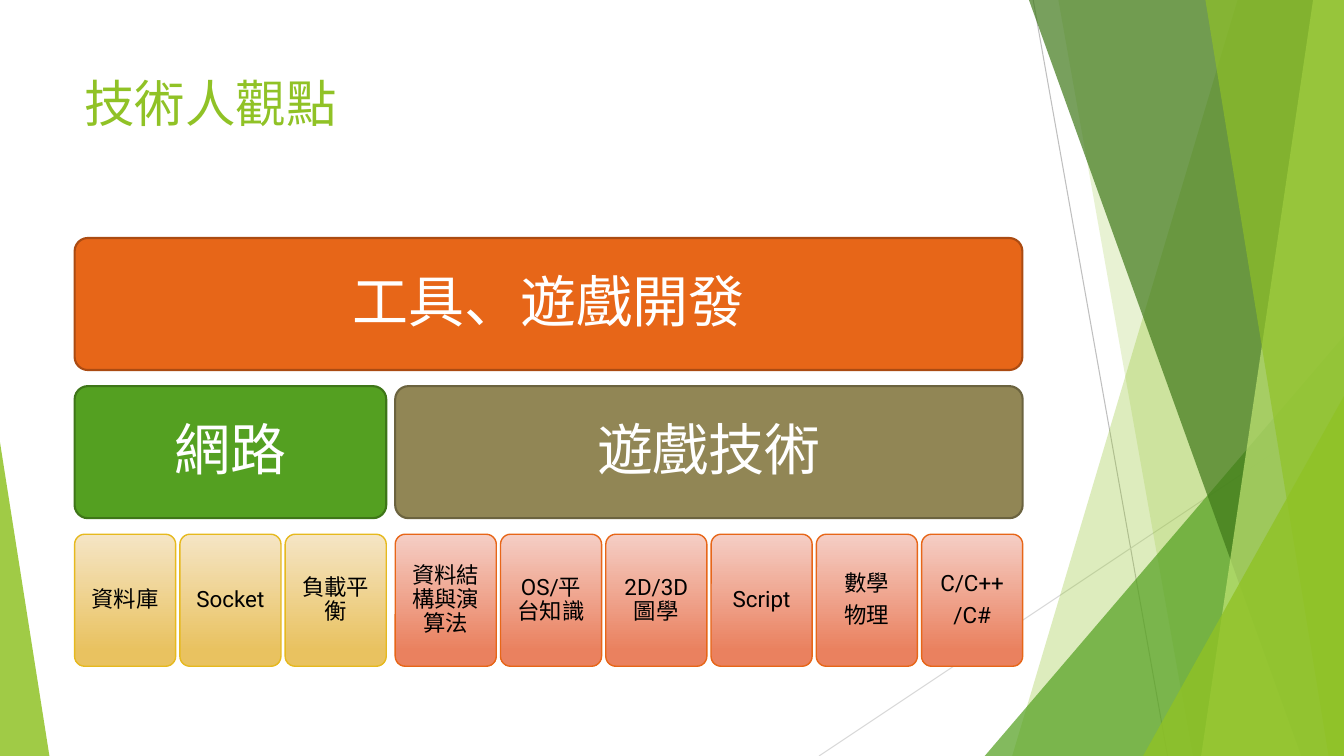
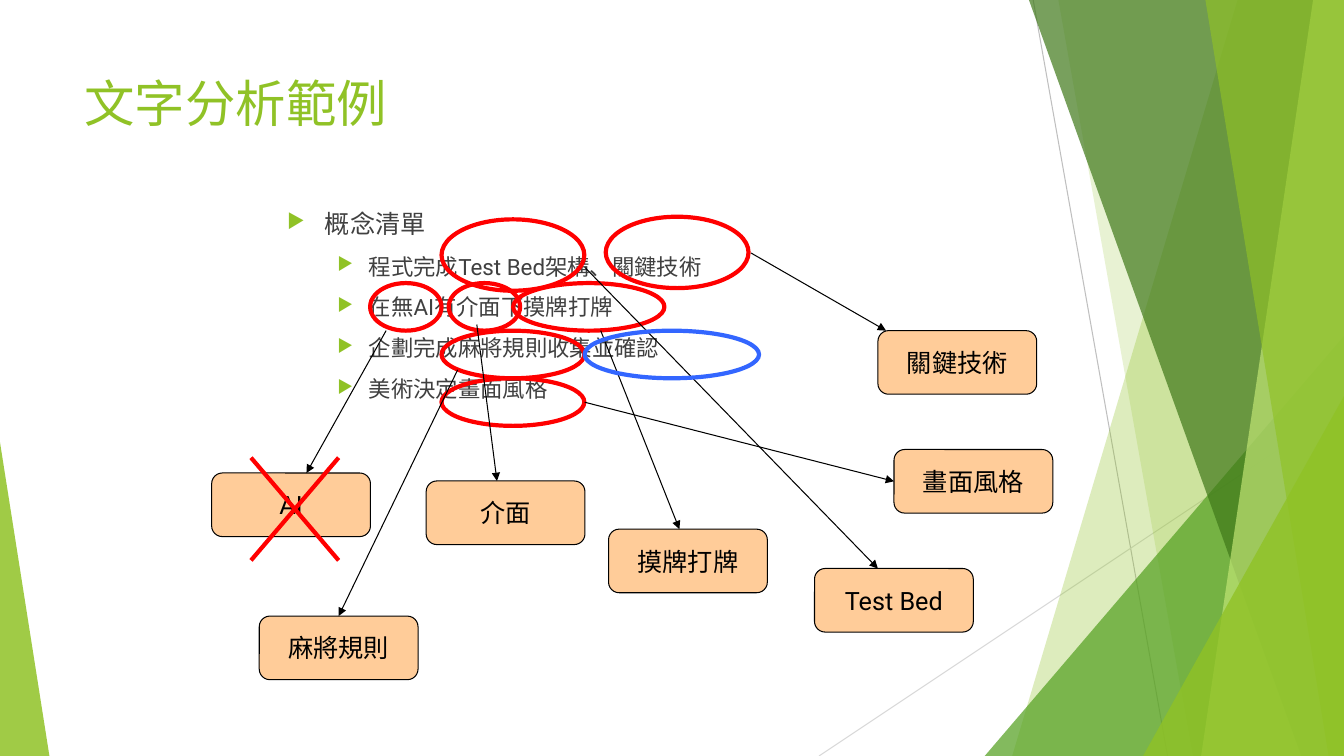
from pptx import Presentation, util as u
from pptx.dml.color import RGBColor
from pptx.enum import shapes, text
from pptx.oxml.ns import qn
from lxml import etree

Pt = u.Pt
KIND = shapes.MSO_SHAPE
LIME, GREEN, RED, BLACK, WHITE = "90C226", "54A021", "FF0000", "000000", "FFFFFF"
FACE = "Roboto"


def hue(code):
    return RGBColor.from_string(code)


def sub(node, tag, **attrs):
    return etree.SubElement(node, qn(tag), attrs)


def bullet(para, margin, hang):
    props = para._p.get_or_add_pPr()
    props.set("marL", str(Pt(margin)))
    props.set("indent", str(-Pt(hang)))
    sub(sub(props, "a:buClr"), "a:srgbClr", val=LIME)
    sub(props, "a:buSzPct", val="80000")
    sub(props, "a:buChar", char="▶")


def write(frame, lines, size=18, color=BLACK, align="LEFT", anchor="TOP",
          wrap=True, inset=None, tight=None, after=None, before=None, marks=None):
    frame.word_wrap = wrap
    frame.vertical_anchor = getattr(text.MSO_ANCHOR, anchor)
    if inset is not None:
        frame.margin_left = frame.margin_right = Pt(inset)
        frame.margin_top = frame.margin_bottom = Pt(inset)
    for n, line in enumerate(lines):
        para = frame.paragraphs[0] if n == 0 else frame.add_paragraph()
        para.alignment = getattr(text.PP_ALIGN, align)
        if tight:
            para.line_spacing = tight
        if after:
            para.space_after = Pt(after)
        if before and n:
            para.space_before = Pt(before)
        scale = size
        if marks:
            level, margin, hang, scale = marks[min(n, 1)]
            para.level = level
            bullet(para, margin, hang)
        run = para.add_run()
        run.text = line
        run.font.name = FACE
        run.font.size = Pt(scale)
        run.font.color.rgb = hue(color)


class Deck:
    def __init__(self):
        self.file = Presentation()
        self.file.slide_width, self.file.slide_height = Pt(960), Pt(540)

    def page(self, title):
        self.slide = self.file.slides.add_slide(self.file.slide_layouts[6])
        self.items = self.slide.shapes
        self.decor()
        self.label(53.3, 48, 677, 104, [title], size=36, color=LIME)

    def paint(self, shape, fill=None, line=None, width=0.75, alpha=None):
        shape.shadow.inherit = False
        if isinstance(fill, tuple):
            shape.fill.gradient()
            shape.fill.gradient_angle = 270
            for stop, code, place in zip(shape.fill.gradient_stops, fill, (0, 0.88)):
                stop.color.rgb = hue(code)
                stop.position = place
        elif fill:
            shape.fill.solid()
            shape.fill.fore_color.rgb = hue(fill)
            if alpha:
                color = shape._element.spPr.find(".//" + qn("a:srgbClr"))
                sub(color, "a:alpha", val=str(alpha * 1000))
        else:
            shape.fill.background()
        if line:
            shape.line.color.rgb = hue(line)
            shape.line.width = Pt(width)
        else:
            shape.line.fill.background()

    def shape(self, kind, x, y, w, h, adjust=None, **look):
        shape = self.items.add_shape(kind, Pt(x), Pt(y), Pt(w), Pt(h))
        if adjust is not None:
            shape.adjustments[0] = adjust
        self.paint(shape, **look)
        return shape

    def wedge(self, top, base, fill, alpha):
        path = self.items.build_freeform(Pt(top), 0)
        path.add_line_segments([(Pt(960), 0), (Pt(960), Pt(540)), (Pt(base), Pt(540))])
        self.paint(path.convert_to_shape(), fill, alpha=alpha)

    def peak(self, x, y, w, side, fill, alpha):
        self.shape(KIND.ISOSCELES_TRIANGLE, x, y, w, 540 - y, side, fill=fill, alpha=alpha)

    def line(self, start, end, color=BLACK, width=0.75, arrow=False, join=None):
        ends = [Pt(v) for v in (*start, *end)]
        line = self.items.add_connector(shapes.MSO_CONNECTOR.STRAIGHT, *ends)
        line.line.color.rgb = hue(color)
        line.line.width = Pt(width)
        if arrow:
            sub(line.line._get_or_add_ln(), "a:tailEnd", type="triangle")
        sub(line._element.spPr, "a:effectLst")
        if join:
            line.end_connect(*join)

    def label(self, x, y, w, h, lines, **form):
        box = self.items.add_textbox(Pt(x), Pt(y), Pt(w), Pt(h))
        write(box.text_frame, lines, **form)

    def block(self, x, y, w, h, lines, adjust, look, **form):
        box = self.shape(KIND.ROUNDED_RECTANGLE, x, y, w, h, adjust, **look)
        write(box.text_frame, lines, align="CENTER", anchor="MIDDLE", **form)
        return box

    def ring(self, x, y, w, h, color=RED):
        self.shape(KIND.OVAL, x, y, w, h, line=color, width=3)

    def decor(self):
        self.line((738, 0), (834, 540), "BFBFBF")
        self.line((960, 290), (585, 540), "D9D9D9")
        self.wedge(884, 723, LIME, 30)
        self.wedge(756, 852, LIME, 20)
        self.peak(703.4, 240, 256.6, 1, GREEN, 72)
        self.wedge(735, 929.5, "3F7819", 70)
        self.wedge(938, 858, "C0E474", 70)
        self.wedge(861, 949, LIME, 65)
        self.peak(816.5, 283, 143.5, 1, LIME, 80)
        self.peak(0, 316, 35.3, 0, LIME, 85)


def stack(deck):
    deck.page("技術人觀點")
    left, top, pitch, high = 53.3, 170, 105.8, 94.3
    cell, step, gap = 72.2, 75.2, 6.4
    groups = [
        ("網路", GREEN, "3E7618", ("F5E5C5", "E9C260"), "E6B91E",
         [["資料庫"], ["Socket"], ["負載平衡"]]),
        ("遊戲技術", "918655", "6B633F", ("F5CEC5", "EA815F"), "E76618",
         [["資料結構與演算法"], ["OS/平台知識"], ["2D/3D圖學"], ["Script"],
          ["數學", "物理"], ["C/C++", "/C#"]]),
    ]

    def head(x, y, w, name, fill, edge):
        deck.block(x, y, w, high, [name], 0.1, dict(fill=fill, line=edge, width=1.5),
                   size=40, color=WHITE, inset=15, tight=0.9, after=14)

    head(left, top, 677, "工具、遊戲開發", "E76618", "AB4B12")
    x = left
    for name, fill, edge, blend, rim, cells in groups:
        wide = step * (len(cells) - 1) + cell
        head(x, top + pitch, wide, name, fill, edge)
        for n, lines in enumerate(cells):
            deck.block(x + n * step, top + 2 * pitch, cell, high, lines, 0.1,
                       dict(fill=blend, line=rim, width=1),
                       size=16, inset=7.2, tight=0.9, after=5.6)
        x += wide + gap


def words(deck):
    deck.page("文字分析範例")
    deck.label(198, 145.4, 435, 305,
               ["概念清單", "程式完成Test Bed架構、關鍵技術", "在無AI有介面下摸牌打牌",
                "企劃完成麻將規則收集並確認", "美術決定畫面風格"],
               color="404040", before=10,
               marks=[(0, 27, 27, 18), (1, 58.5, 22.5, 16)])
    for spot in [(315.4, 156.7, 102, 51), (432.7, 154.8, 102, 51),
                 (264.4, 202.2, 51, 34), (320.5, 202.2, 51, 34),
                 (315.4, 236.2, 102, 34), (315.4, 270.2, 102, 34),
                 (366.6, 202.2, 108, 34)]:
        deck.ring(*spot)
    terms = [
        ("Test Bed", 581.8, 406.1, (417.6, 190.8), (627.1, 406.1), None),
        ("關鍵技術", 627.1, 236.2, (536.4, 180.7), (632.9, 236.2), None),
        ("AI", 151.2, 337.9, (275.8, 236.2), (218.9, 337.9), None),
        ("介面", 304.4, 343.6, (340.6, 231.8), (355, 343.6), None),
        ("摸牌打牌", 434.7, 378, (429.1, 236.2), (485.3, 378), None),
        ("麻將規則", 185.2, 440.1, (326.9, 264.2), (241.9, 440.1), 0),
        ("畫面風格", 638.6, 321.1, (417.6, 287.3), (638.6, 343.8), 1),
    ]
    boxes = [deck.block(x, y, 113.4, 45.4, [name], 0.167,
                        dict(fill="FFCC99", line=BLACK), wrap=False)
             for name, x, y, *_ in terms]
    for box, (*_, start, end, side) in zip(boxes, terms):
        join = None if side is None else (box, side)
        deck.line(start, end, arrow=True, join=join)
    for a, b in [(241.9, 179.3), (179.3, 241.9)]:
        deck.line((a, 326.9), (b, 400.3), RED, 3)
    deck.ring(417.6, 236.2, 124.6, 34, "3366FF")


def main():
    deck = Deck()
    stack(deck)
    words(deck)
    deck.file.save("out.pptx")


if __name__ == "__main__":
    main()
